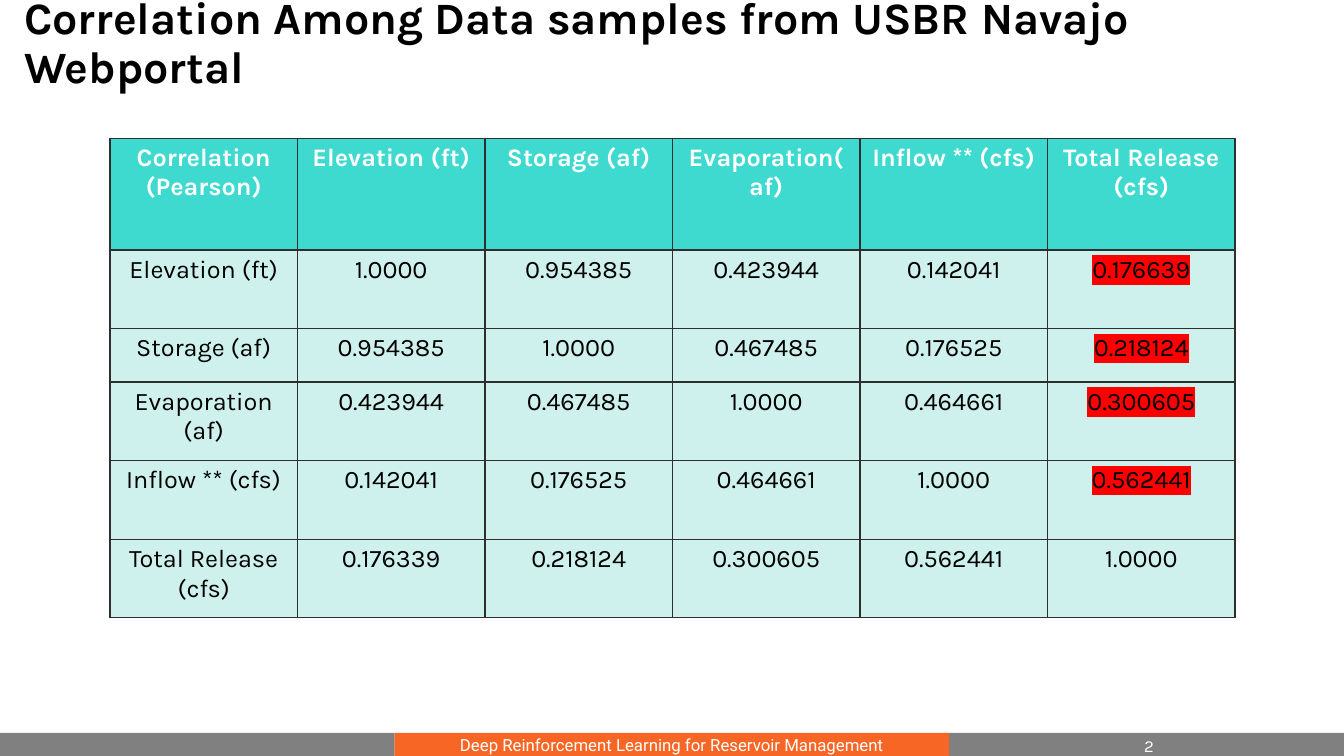
from lxml import etree
from pptx import Presentation
from pptx.dml.color import RGBColor
from pptx.enum import shapes, text
from pptx.oxml import ns
from pptx.util import Inches, Pt

BLACK, WHITE, GREY, ORANGE = "000000", "FFFFFF", "808080", "F86626"
TEAL, MINT, BORDER, RED = "3ED9CF", "CEF1ED", "2E2E2E", "FF0000"

HEADERS = ["Correlation\n(Pearson)", "Elevation (ft)", "Storage (af)",
           "Evaporation(af)", "Inflow ** (cfs)", "Total Release (cfs)"]
CORRELATIONS = [
    ["Elevation (ft)", "1.0000", "0.954385", "0.423944", "0.142041", "0.176639"],
    ["Storage (af)", "0.954385", "1.0000", "0.467485", "0.176525", "0.218124"],
    ["Evaporation (af)", "0.423944", "0.467485", "1.0000", "0.464661", "0.300605"],
    ["Inflow ** (cfs)", "0.142041", "0.176525", "0.464661", "1.0000", "0.562441"],
    ["Total Release (cfs)", "0.176339", "0.218124", "0.300605", "0.562441", "1.0000"],
]
ROW_HEIGHTS = [1.11, 0.78, 0.53, 0.78, 0.78, 0.78]


def color(value):
    """Return the colour for a hex string."""
    return RGBColor.from_string(value)


def add_solid_fill(parent, value):
    """Append a solid fill of the given colour to an XML element."""
    fill = etree.SubElement(parent, ns.qn("a:solidFill"))
    etree.SubElement(fill, ns.qn("a:srgbClr"), val=value)


def write(frame, content, size=18, font="Karla", fill=BLACK, bold=False,
          align=text.PP_ALIGN.LEFT, spacing=None, highlight=None):
    """Fill a text frame with one formatted paragraph per line."""
    frame.text = content
    for paragraph in frame.paragraphs:
        paragraph.alignment = align
        paragraph.line_spacing = spacing
        for run in paragraph.runs:
            run.font.size = Pt(size)
            run.font.name = font
            run.font.bold = bold
            run.font.color.rgb = color(fill)
            if highlight:
                mark = etree.Element(ns.qn("a:highlight"))
                etree.SubElement(mark, ns.qn("a:srgbClr"), val=highlight)
                run.font._element.find(ns.qn("a:solidFill")).addnext(mark)


def add_bar(slide, left, top, width, height, fill):
    """Add a plain rectangle without outline."""
    bar = slide.shapes.add_shape(shapes.MSO_SHAPE.RECTANGLE, Inches(left),
                                 Inches(top), Inches(width), Inches(height))
    bar.shadow.inherit = False
    bar.fill.solid()
    bar.fill.fore_color.rgb = color(fill)
    bar.line.fill.background()
    return bar


def add_footer(slide, left, top, width, height):
    """Add the three-part footer band with its caption and page number."""
    middle = 5.5
    side = (width - middle) / 2
    add_bar(slide, left, top, side, height, GREY)
    add_bar(slide, left + side + middle, top, side, height, GREY)
    caption = add_bar(slide, left + side, top, middle, height, ORANGE)
    frame = caption.text_frame
    frame.margin_top = frame.margin_bottom = 0
    frame.vertical_anchor = text.MSO_ANCHOR.MIDDLE
    write(frame, "Deep Reinforcement Learning for Reservoir Management",
          size=12, font="Roboto", fill=WHITE, align=text.PP_ALIGN.CENTER)
    number = slide.shapes.add_textbox(Inches(left + 11.25), Inches(top - 0.02),
                                      Inches(0.45), Inches(0.4))
    number.text_frame.word_wrap = True
    write(number.text_frame, "2", size=12, fill=WHITE)


def add_title(slide, left, top, width, height):
    """Place and format the title placeholder."""
    title = slide.shapes.title
    title.left, title.top = Inches(left), Inches(top)
    title.width, title.height = Inches(width), Inches(height)
    frame = title.text_frame
    frame.auto_size = text.MSO_AUTO_SIZE.NONE
    frame.vertical_anchor = text.MSO_ANCHOR.MIDDLE
    write(frame, "Correlation Among Data samples from USBR Navajo Webportal",
          size=32, bold=True, spacing=0.9)


def format_cell(cell, fill):
    """Give a table cell its borders and fill."""
    properties = cell._tc.get_or_add_tcPr()
    for side in ("lnL", "lnR", "lnT", "lnB"):
        line = etree.SubElement(properties, ns.qn(f"a:{side}"), w=str(Pt(1)))
        add_solid_fill(line, BORDER)
    cell.fill.solid()
    cell.fill.fore_color.rgb = color(fill)


def add_correlation_table(slide, left, top, width, height):
    """Add the correlation matrix, marking the release column in red."""
    rows = [HEADERS] + CORRELATIONS
    table = slide.shapes.add_table(len(rows), len(HEADERS), Inches(left), Inches(top),
                                   Inches(width), Inches(height)).table
    for column in table.columns:
        column.width = Inches(width / len(HEADERS))
    last = len(HEADERS) - 1
    for i, values in enumerate(rows):
        table.rows[i].height = Inches(ROW_HEIGHTS[i])
        header = i == 0
        for j, value in enumerate(values):
            cell = table.cell(i, j)
            format_cell(cell, TEAL if header else MINT)
            marked = j == last and 0 < i < last
            write(cell.text_frame, value, fill=WHITE if header else BLACK,
                  bold=header, align=text.PP_ALIGN.CENTER,
                  highlight=RED if marked else None)


def main():
    """Build the slide and save the presentation."""
    presentation = Presentation()
    presentation.slide_width = Inches(13.33)
    presentation.slide_height = Inches(7.5)
    slide = presentation.slides.add_slide(presentation.slide_layouts[5])
    add_footer(slide, 0, 7.27, 13.33, 0.23)
    add_title(slide, 0.14, 0.13, 12.68, 0.62)
    add_correlation_table(slide, 1.09, 1.37, 11.16, sum(ROW_HEIGHTS))
    presentation.save("out.pptx")


if __name__ == "__main__":
    main()
